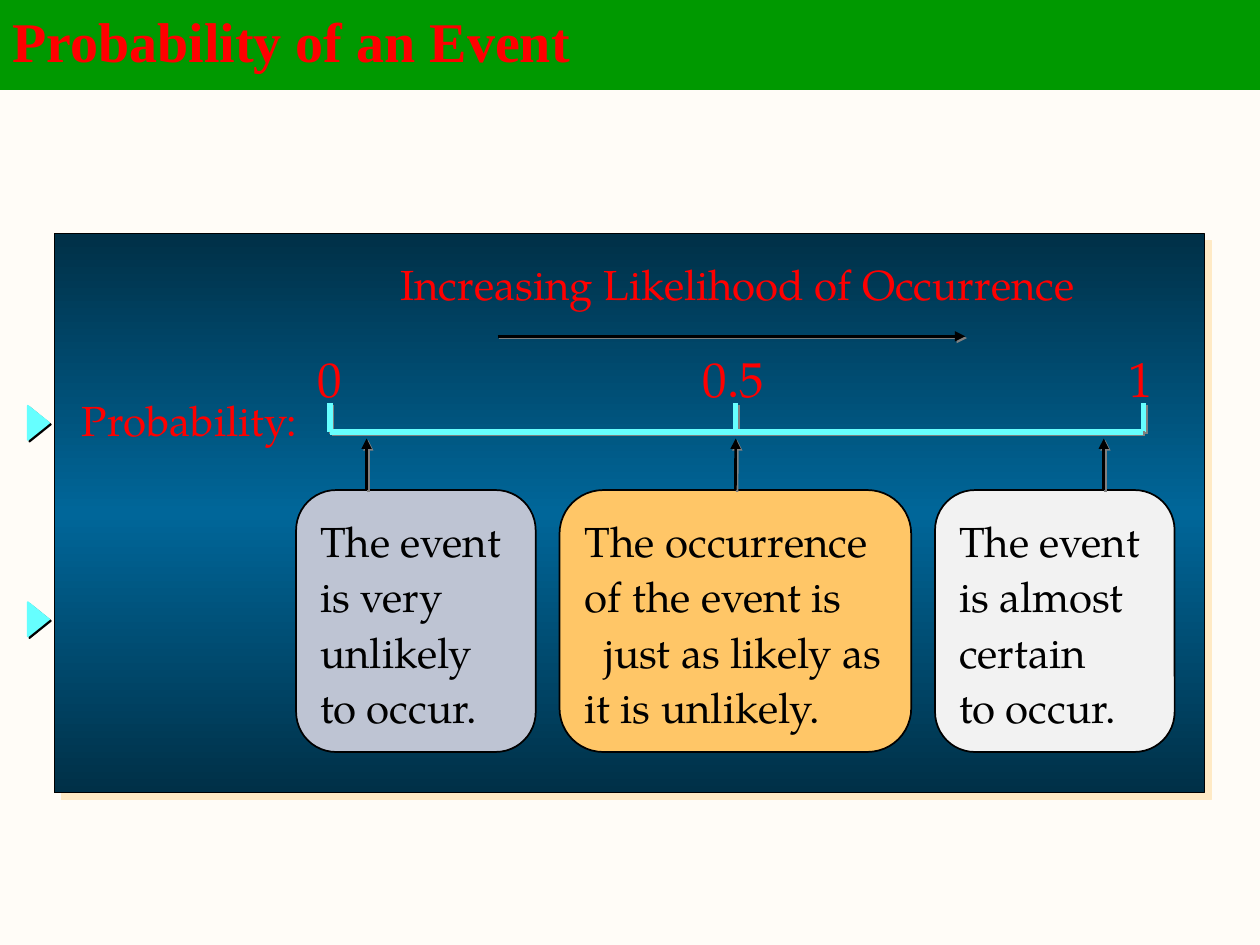
"""Builds the slide on the probability of an event."""
import copy

import pptx
import pptx.dml.color
import pptx.enum.shapes
import pptx.enum.text
import pptx.oxml
import pptx.oxml.ns
import pptx.util

Cm = pptx.util.Cm
Pt = pptx.util.Pt
qn = pptx.oxml.ns.qn
SHAPES = pptx.enum.shapes.MSO_SHAPE
ANCHOR = pptx.enum.text.MSO_ANCHOR
ALIGN = pptx.enum.text.PP_ALIGN

RED, BLACK, CYAN, GREEN, GREY = "FF0000", "000000", "66FFFF", "009900", "808080"


def color(hex_string):
    return pptx.dml.color.RGBColor.from_string(hex_string)


class ProbabilitySlide:
    font = "TeX Gyre Pagella"
    text_size = 24

    def __init__(self, presentation, background):
        self.slide = presentation.slides.add_slide(presentation.slide_layouts[6])
        fill = self.slide.background.fill
        fill.solid()
        fill.fore_color.rgb = color(background)

    def shadow(self, element, hex_string, distance=1.4):
        properties = element._element.spPr
        for old in properties.findall(qn("a:effectLst")):
            properties.remove(old)
        properties.append(pptx.oxml.parse_xml(
            f'<a:effectLst {pptx.oxml.ns.nsdecls("a")}>'
            f'<a:outerShdw dist="{int(Pt(distance))}" dir="2700000" algn="ctr" rotWithShape="0">'
            f'<a:srgbClr val="{hex_string}"/></a:outerShdw></a:effectLst>'))

    def shape(self, kind, left, top, width, height, fill, line, line_width):
        shape = self.slide.shapes.add_shape(kind, Cm(left), Cm(top), Cm(width), Cm(height))
        shape.shadow.inherit = False
        shape.fill.solid()
        shape.fill.fore_color.rgb = color(fill)
        shape.line.color.rgb = color(line)
        shape.line.width = Pt(line_width)
        return shape

    def gradient(self, shape, colors, angle):
        shape.fill.gradient()
        shape.fill.gradient_angle = angle
        stop_list = shape._element.spPr.find(".//" + qn("a:gsLst"))
        stop_list.append(copy.deepcopy(stop_list[0]))
        for index, (stop, hex_string) in enumerate(zip(shape.fill.gradient_stops, colors)):
            stop.position = index / (len(colors) - 1)
            stop.color.rgb = color(hex_string)

    def set_text(self, shape, text, hex_string, size=None, font=None, bold=False, spacing=None):
        shape.text_frame.text = text
        for paragraph in shape.text_frame.paragraphs:
            paragraph.alignment = ALIGN.LEFT
            paragraph.line_spacing = spacing
            for run in paragraph.runs:
                run.font.name = font or self.font
                run.font.size = Pt(size or self.text_size)
                run.font.bold = bold
                run.font.color.rgb = color(hex_string)

    def label(self, text, left, top, width, height, size=None, wrap=True):
        box = self.slide.shapes.add_textbox(Cm(left), Cm(top), Cm(width), Cm(height))
        box.text_frame.word_wrap = wrap
        self.set_text(box, text, RED, size)

    def title(self, text):
        bar = self.shape(SHAPES.RECTANGLE, 0, 0, 25.4, 1.8, GREEN, GREEN, 0.75)
        bar.text_frame.vertical_anchor = ANCHOR.MIDDLE
        self.set_text(bar, text, RED, 32, "Times New Roman", True, 0.9)

    def panel(self, left, top, width, height):
        panel = self.shape(SHAPES.RECTANGLE, left, top, width, height, "006699", BLACK, 0.5)
        self.gradient(panel, ["003047", "006699", "003047"], 270)
        self.shadow(panel, "FFEAC5", 5.7)

    def marker(self, left, top):
        marker = self.shape(SHAPES.ISOSCELES_TRIANGLE, left, top, 0.69, 0.43, CYAN, CYAN, 1)
        marker.rotation = 90
        self.shadow(marker, BLACK)

    def card(self, lines, left, top, width, height, fill):
        card = self.shape(SHAPES.ROUNDED_RECTANGLE, left, top, width, height, fill, BLACK, 1)
        card.text_frame.word_wrap = False
        card.text_frame.vertical_anchor = ANCHOR.MIDDLE
        self.set_text(card, "\n".join(lines), BLACK, spacing=1.1)
        return card

    def indent(self, paragraph, distance):
        paragraph._p.get_or_add_pPr().set("marL", str(int(Cm(distance))))

    def line(self, x1, y1, x2, y2, hex_string=CYAN, width=3):
        line = self.slide.shapes.add_connector(
            pptx.enum.shapes.MSO_CONNECTOR.STRAIGHT, Cm(x1), Cm(y1), Cm(x2), Cm(y2))
        line.line.color.rgb = color(hex_string)
        line.line.width = Pt(width)
        self.shadow(line, GREY)
        return line

    def arrow(self, x1, y1, x2, y2):
        arrow = self.line(x1, y1, x2, y2, BLACK, 1.5)
        arrow._element.spPr.find(qn("a:ln")).append(
            pptx.oxml.parse_xml(f'<a:tailEnd {pptx.oxml.ns.nsdecls("a")} type="triangle"/>'))
        return arrow


def main():
    presentation = pptx.Presentation()
    presentation.slide_width, presentation.slide_height = Cm(25.4), Cm(19.05)
    page = ProbabilitySlide(presentation, "FFFCF7")

    page.title("Probability of an Event")
    page.panel(1.09, 4.7, 23.19, 11.28)
    page.label("Increasing Likelihood of Occurrence", 7.82, 5.08, 14.12, 1.27, wrap=False)
    page.arrow(10.03, 6.78, 19.46, 6.78)
    page.label("Probability:", 1.4, 7.82, 4.95, 1.27)

    scale_start, scale_middle, scale_end, scale_y = 6.65, 14.83, 23.05, 8.71
    for x in (scale_start, scale_middle, scale_end):
        page.line(x, 8.13, x, scale_y)
    page.line(scale_start, scale_y, scale_end, scale_y)
    for text, left, width in (("0", 6.15, 1.22), ("0.5", 13.92, 2.08), ("1", 22.5, 0.94)):
        page.label(text, left, 6.91, width, 1.45, 28)

    cards = [
        (["The event", "is very", "unlikely", "to occur."], 4.83, "BEC4D3", 7.39),
        (["The occurrence", "of the event is", "just as likely as", "it is unlikely."],
         7.09, "FFC667", scale_middle),
        (["The event", "is almost", "certain", "to occur."], 4.83, "F2F2F2", 22.25),
    ]
    left, top, gap = 5.97, 9.88, 0.48
    for lines, width, fill, arrow_x in cards:
        card = page.card(lines, left, top, width, 5.28, fill)
        arrow = page.arrow(arrow_x, top, arrow_x, 8.84)
        if arrow_x == scale_middle:
            arrow.begin_connect(card, 0)
            page.indent(card.text_frame.paragraphs[2], 0.4)
        left += width + gap

    for marker_top in (8.31, 12.27):
        page.marker(0.43, marker_top)
    presentation.save("out.pptx")


if __name__ == "__main__":
    main()
